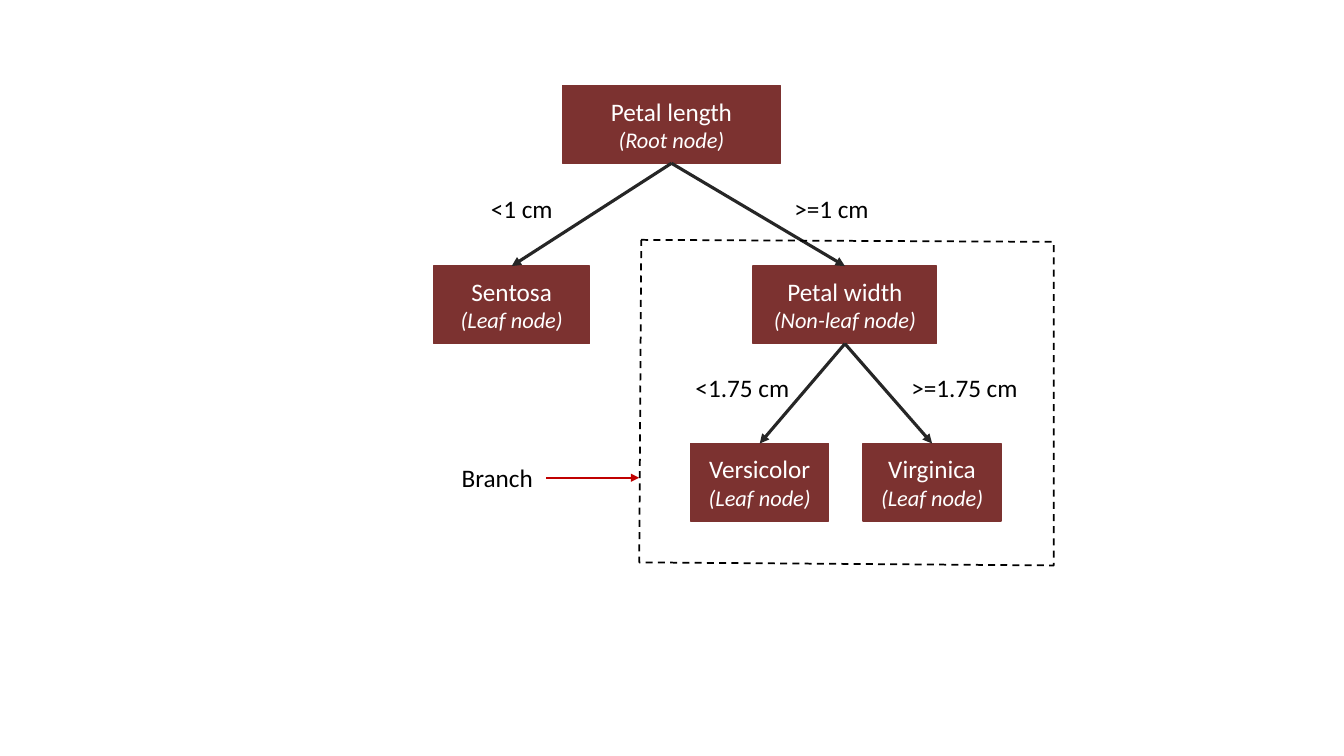
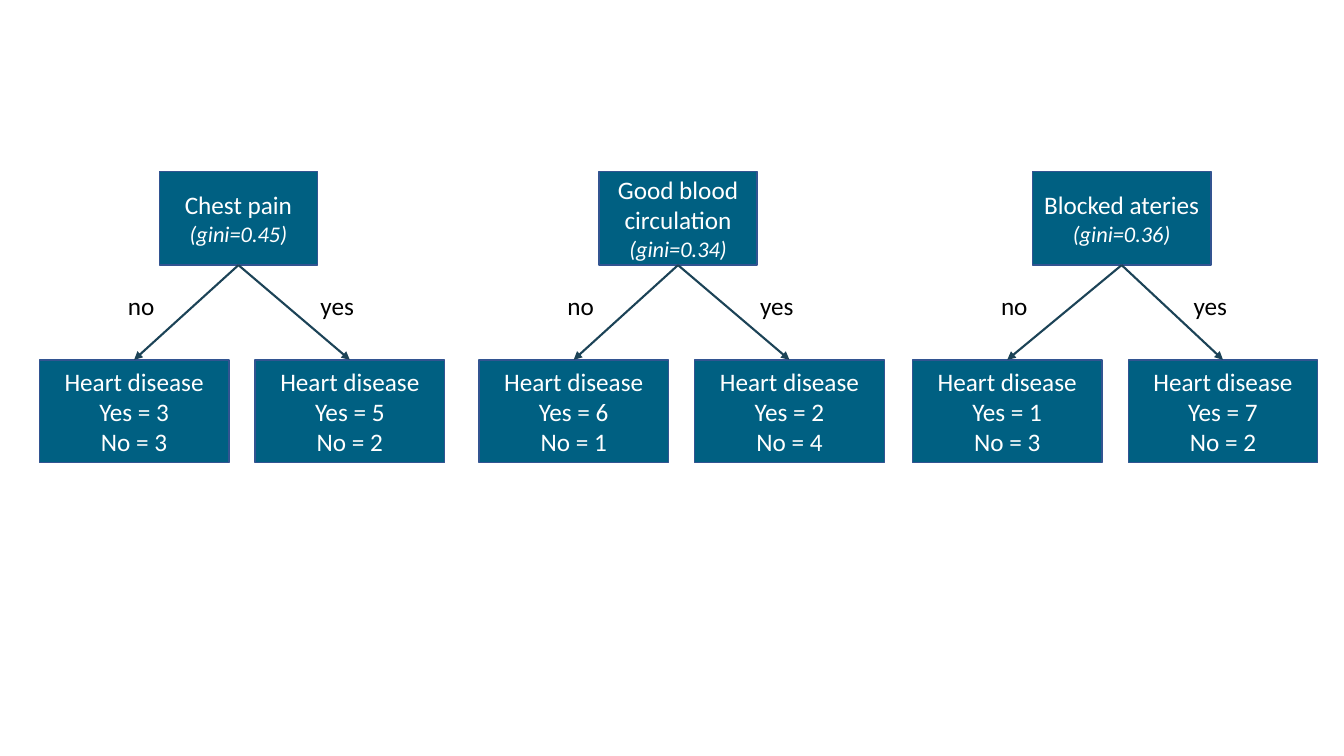
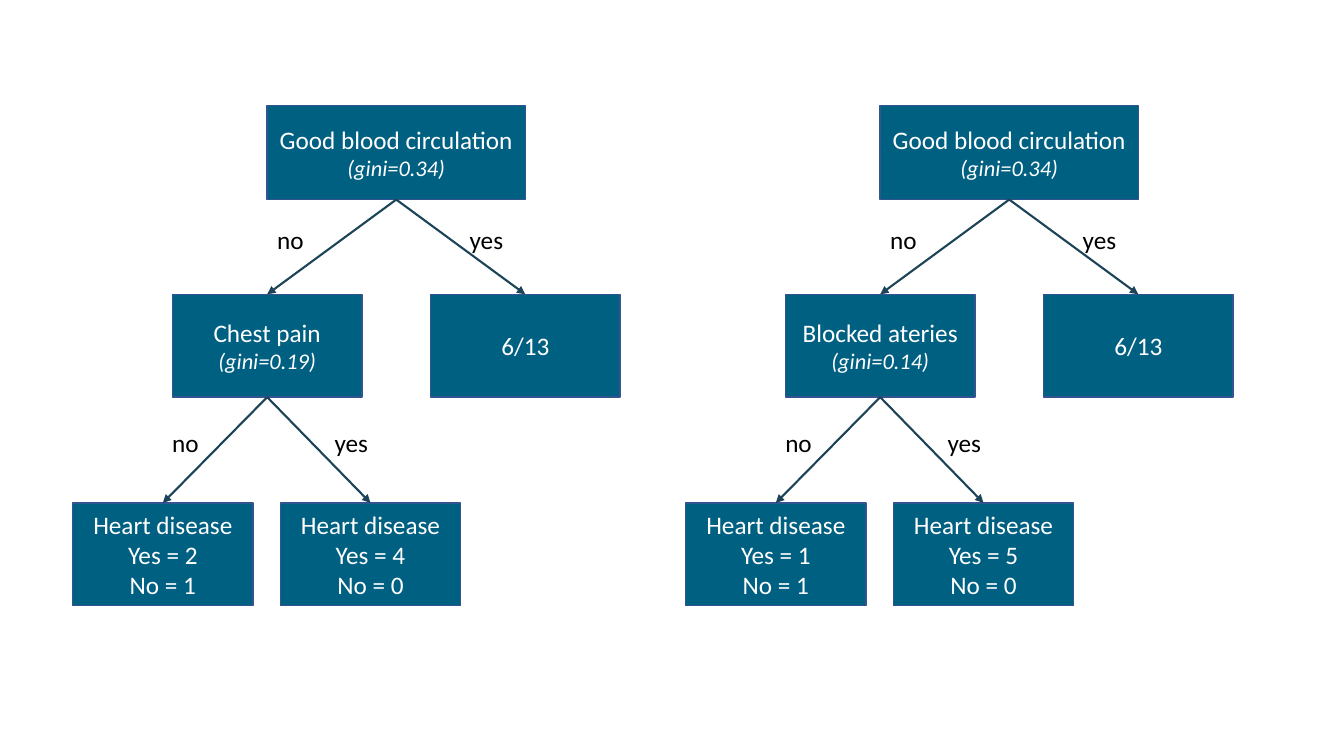
from dataclasses import dataclass

from lxml.etree import SubElement
from pptx import Presentation
from pptx.dml.color import RGBColor
from pptx.enum.dml import MSO_LINE
from pptx.enum.shapes import MSO_CONNECTOR, MSO_SHAPE
from pptx.enum.text import MSO_ANCHOR, PP_ALIGN
from pptx.oxml.ns import qn
from pptx.util import Inches, Pt


@dataclass(frozen=True)
class Palette:
    fill: str
    border: str
    arrow: str
    arrow_width: float


@dataclass(frozen=True)
class Theme:
    font: str = "Calibri"
    text_size: int = 18
    note_size: int = 16
    light: str = "FFFFFF"
    dark: str = "000000"
    accent: str = "C00000"
    iris: Palette = Palette("7C3230", "7C3230", "262626", 2.25)
    heart: Palette = Palette("006082", "325491", "1C4357", 1.5)


THEME = Theme()
LABEL_HEIGHT = 0.4

# Heart trees: sizes and row tops in inches
ROOT_HEIGHT, LEAF_HEIGHT = 0.93, 1.02
LEAF_WIDTH = 1.88
LEVEL_STEP = 1.87
LABEL_WIDTH = 0.65


def color(value):
    return RGBColor.from_string(value)


def new_group(slide):
    return slide.shapes.add_group_shape().shapes


def style_text(para, size, value, italic=False):
    for span in para.runs:
        span.font.name = THEME.font
        span.font.size = Pt(size)
        span.font.color.rgb = color(value)
        span.font.italic = italic


def add_node(group, palette, left, top, width, height, text, note=None):
    """Filled box with centred lines and an optional italic note below."""
    box = group.add_shape(MSO_SHAPE.RECTANGLE, Inches(left), Inches(top),
                          Inches(width), Inches(height))
    box.shadow.inherit = False
    box.fill.solid()
    box.fill.fore_color.rgb = color(palette.fill)
    box.line.color.rgb = color(palette.border)
    box.line.width = Pt(1)
    frame = box.text_frame
    frame.word_wrap = True
    frame.vertical_anchor = MSO_ANCHOR.MIDDLE
    frame.text = text
    for para in frame.paragraphs:
        style_text(para, THEME.text_size, THEME.light)
    if note:
        para = frame.add_paragraph()
        para.text = f"({note})"
        style_text(para, THEME.note_size, THEME.light, italic=True)
    for para in frame.paragraphs:
        para.alignment = PP_ALIGN.CENTER
    return box


def add_label(group, left, top, width, text):
    box = group.add_textbox(Inches(left), Inches(top), Inches(width), Inches(LABEL_HEIGHT))
    box.text_frame.word_wrap = True
    box.text_frame.text = text
    style_text(box.text_frame.paragraphs[0], THEME.text_size, THEME.dark)


def add_arrow(group, start, end, value, width):
    arrow = group.add_connector(MSO_CONNECTOR.STRAIGHT, *start, *end)
    arrow.line.color.rgb = color(value)
    arrow.line.width = Pt(width)
    properties = arrow._element.spPr
    SubElement(properties.find(qn("a:ln")), qn("a:tailEnd"), type="triangle")
    SubElement(properties, qn("a:effectLst"))
    return arrow


def link(group, palette, parent, *children):
    """Arrows from the bottom of the parent to the top of each child."""
    start = (parent.left + parent.width // 2, parent.top + parent.height)
    for child in children:
        end = (child.left + child.width // 2, child.top)
        arrow = add_arrow(group, start, end, palette.arrow, palette.arrow_width)
        arrow.begin_connect(parent, 2)
        arrow.end_connect(child, 0)


def add_dashed_outline(group, corners):
    points = [(Inches(x), Inches(y)) for x, y in corners]
    builder = group.build_freeform(*points[0])
    builder.add_line_segments(points[1:], close=True)
    outline = builder.convert_to_shape()
    outline.shadow.inherit = False
    outline.fill.background()
    outline.line.color.rgb = color(THEME.dark)
    outline.line.width = Pt(1.25)
    outline.line.dash_style = MSO_LINE.DASH


def add_answers(group, top, no_left, yes_left):
    add_label(group, no_left, top, LABEL_WIDTH, "no")
    add_label(group, yes_left, top, LABEL_WIDTH, "yes")


def add_counts(group, left, top, width, yes, no):
    return add_node(group, THEME.heart, left, top, width, LEAF_HEIGHT,
                    f"Heart disease\nYes = {yes}\nNo = {no}")


def iris_slide(slide):
    group = new_group(slide)
    height, level_two, level_three = 0.77, 2.64, 4.4

    def iris_node(left, top, width, text, note):
        return add_node(group, THEME.iris, left, top, width, height, text, note)

    # Nodes and arrows
    root = iris_node(5.58, 0.85, 2.16, "Petal length", "Root node")
    sentosa = iris_node(4.3, level_two, 1.55, "Sentosa", "Leaf node")
    petal_width = iris_node(7.47, level_two, 1.82, "Petal width", "Non-leaf node")
    versicolor = iris_node(6.85, level_three, 1.37, "Versicolor", "Leaf node")
    virginica = iris_node(8.56, level_three, 1.37, "Virginica", "Leaf node")
    link(group, THEME.iris, root, sentosa, petal_width)
    link(group, THEME.iris, petal_width, versicolor, virginica)

    # Split conditions
    for left, top, width, text in (
        (4.77, 1.87, 1.2, "<1 cm"),
        (7.78, 1.87, 1.2, ">=1 cm"),
        (6.8, 3.64, 1.2, "<1.75 cm"),
        (8.94, 3.64, 1.62, ">=1.75 cm"),
    ):
        add_label(group, left, top, width, text)

    # Branch marker
    add_dashed_outline(group, [(6.36, 2.38), (10.45, 2.4), (10.45, 5.61), (6.34, 5.58)])
    add_label(group, 4.48, 4.54, 0.98, "Branch")
    add_arrow(group, (Inches(5.42), Inches(4.74)), (Inches(6.34), Inches(4.74)),
              THEME.accent, 1.5)


def one_level_tree(slide, left, root_width, text, gini, no_counts, yes_counts):
    group = new_group(slide)
    top = 1.7
    root = add_node(group, THEME.heart, left + 1.19, top, root_width, ROOT_HEIGHT,
                    text, f"gini={gini}")
    leaves = [add_counts(group, left + offset, top + LEVEL_STEP, LEAF_WIDTH, *counts)
              for offset, counts in ((0, no_counts), (2.14, yes_counts))]
    link(group, THEME.heart, root, *leaves)
    add_answers(group, top + 1.13, left + 0.78, left + 2.69)


def two_level_tree(slide, left, text, gini, no_counts, yes_counts):
    group = new_group(slide)
    top = 1.05
    middle = top + LEVEL_STEP
    bottom = 4.99

    # Root and its two children
    root = add_node(group, THEME.heart, left + 1.93, top, 2.56, ROOT_HEIGHT,
                    "Good blood circulation", "gini=0.34")
    split = add_node(group, THEME.heart, left + 0.99, middle, LEAF_WIDTH, LEAF_HEIGHT,
                     text, f"gini={gini}")
    share = add_node(group, THEME.heart, left + 3.55, middle, LEAF_WIDTH, LEAF_HEIGHT, "6/13")
    link(group, THEME.heart, root, split, share)
    add_answers(group, top + 1.13, left + 1.93, left + 3.84)

    # Leaves of the second split
    leaves = [add_counts(group, left + offset, bottom, 1.79, *counts)
              for offset, counts in ((0, no_counts), (2.06, yes_counts))]
    link(group, THEME.heart, split, *leaves)
    add_answers(group, bottom - 0.8, left + 0.89, left + 2.5)


def main():
    deck = Presentation()
    deck.slide_width, deck.slide_height = Inches(13.33), Inches(7.5)
    blank = deck.slide_layouts[6]

    iris_slide(deck.slides.add_slide(blank))

    candidates = deck.slides.add_slide(blank)
    one_level_tree(candidates, 0.39, 1.57, "Chest pain", "0.45", (3, 3), (5, 2))
    one_level_tree(candidates, 4.75, 1.57, "Good blood circulation", "0.34", (6, 1), (2, 4))
    one_level_tree(candidates, 9.05, 1.77, "Blocked ateries", "0.36", (1, 3), (7, 2))

    second_split = deck.slides.add_slide(blank)
    two_level_tree(second_split, 0.72, "Chest pain", "0.19", (2, 1), (4, 0))
    two_level_tree(second_split, 6.8, "Blocked ateries", "0.14", (1, 1), (5, 0))

    deck.save("out.pptx")


if __name__ == "__main__":
    main()
